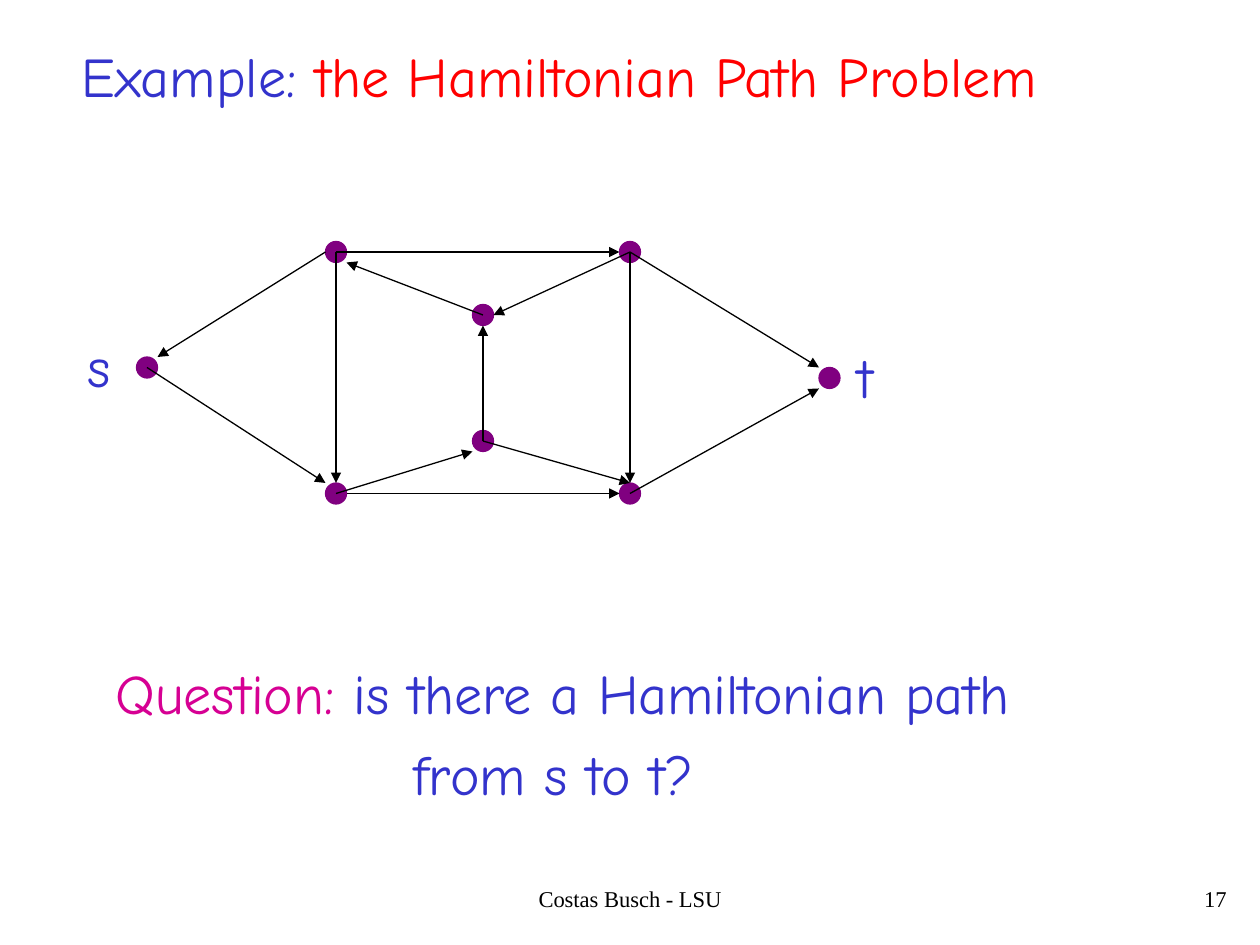
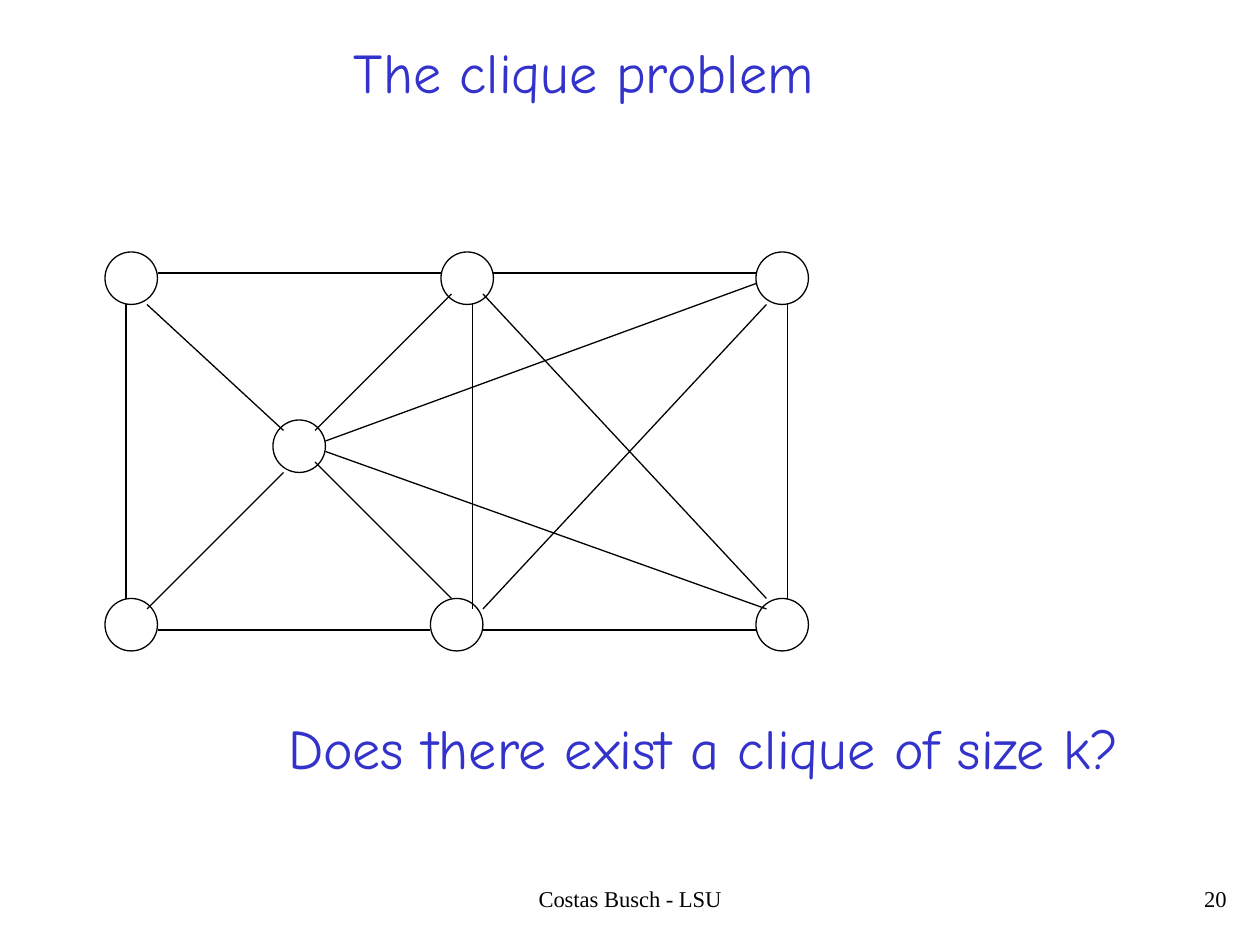
from pptx import Presentation
from pptx.dml.color import RGBColor
from pptx.enum.shapes import MSO_CONNECTOR as CONN, MSO_SHAPE as SHAPE
from pptx.enum.text import MSO_ANCHOR as ANCHOR, MSO_AUTO_SIZE as FIT, PP_ALIGN as ALIGN
from pptx.oxml.ns import qn
from pptx.util import Pt
from lxml.etree import SubElement

BLUE = RGBColor(0x33, 0x33, 0xCC)
RED = RGBColor(0xFF, 0x00, 0x00)
PINK = RGBColor(0xD6, 0x00, 0x93)
PURPLE = RGBColor(0x80, 0x00, 0x80)
BLACK = RGBColor(0x00, 0x00, 0x00)
HEAD_FONT = "Comic Neue"
FOOT_FONT = "Times New Roman"
GRID = 6
LINE = 0.75

FOOTER = "Costas Busch - LSU"

SLIDES = [
    {
        "number": "17",
        "title": ((39.5, 20, 564, 46),
                  [("Example: ", BLUE), ("the Hamiltonian Path Problem", RED)]),
        "texts": [
            ((59, 372.5, 538, 92),
             [(0, [("Question:", PINK), (" is there a Hamiltonian path", BLUE)]),
              (170, [("from s to t?", BLUE)])]),
            ((43, 186, 27.5, 46), [(0, [("s", BLUE)])]),
            ((483, 192, 23, 46), [(0, [("t", BLUE)])]),
        ],
        "diameter": 2,
        "fill": PURPLE,
        "directed": True,
        "nodes": [(13, 34), (31, 23), (31, 46), (78, 35),
                  (59, 46), (59, 23), (45, 41), (45, 29)],
        "edges": [
            ((31, 24), (15, 34)), ((14, 35), (31, 46)), ((32, 24), (32, 46)),
            ((32, 24), (59, 24)), ((33, 47), (59, 47)), ((60, 47), (78, 37)),
            ((60, 24), (78, 35)), ((46, 30), (33, 25)), ((60, 24), (47, 30)),
            ((46, 42), (46, 31)), ((32, 47), (45, 43)), ((46, 42), (60, 46)),
            ((60, 24), (60, 46)),
        ],
    },
    {
        "number": "20",
        "title": ((195, 18, 278, 46), [("The clique problem", BLUE)]),
        "texts": [
            ((157.5, 404, 491, 46), [(0, [("Does there exist a clique of size k?", BLUE)])]),
        ],
        "diameter": 5,
        "fill": None,
        "directed": False,
        "nodes": [(10, 24), (42, 24), (72, 24), (26, 40),
                  (10, 57), (41, 57), (72, 57)],
        "edges": [
            ((14, 29), (27, 41)), ((12, 29), (12, 57)), ((15, 60), (41, 60)),
            ((30, 44), (43, 57)), ((45, 29), (45, 58)), ((47, 26), (72, 26)),
            ((46, 58), (73, 29)), ((75, 29), (75, 57)), ((46, 28), (73, 57)),
            ((46, 60), (72, 60)), ((15, 26), (42, 26)), ((30, 41), (43, 28)),
            ((14, 58), (27, 45)), ((31, 43), (73, 58)), ((31, 42), (72, 27)),
        ],
    },
]


def points(*values):
    return [Pt(v) for v in values]


def add_runs(p, runs, font, size):
    for text, color in runs:
        r = p.add_run()
        r.text = text
        r.font.name = font
        r.font.size = Pt(size)
        r.font.color.rgb = color


def fill_heading(sp, paragraphs):
    tf = sp.text_frame
    tf.word_wrap = False
    tf.auto_size = FIT.NONE
    tf.vertical_anchor = ANCHOR.TOP
    for i, (indent, runs) in enumerate(paragraphs):
        p = tf.add_paragraph() if i else tf.paragraphs[0]
        p.alignment = ALIGN.LEFT
        p.space_before = Pt(8)
        if indent:
            p._p.get_or_add_pPr().set("marL", str(Pt(indent)))
        add_runs(p, runs, HEAD_FONT, 32)


def add_title(s, box, runs):
    sp = s.shapes.title
    sp.left, sp.top, sp.width, sp.height = points(*box)
    fill_heading(sp, [(0, runs)])


def add_footer(s, number):
    for left, width, text, align in ((246, 228, FOOTER, ALIGN.CENTER),
                                     (558, 150, number, ALIGN.RIGHT)):
        tf = s.shapes.add_textbox(*points(left, 504, width, 24)).text_frame
        tf.word_wrap = True
        p = tf.paragraphs[0]
        p.alignment = align
        p.line_spacing = 0.9
        add_runs(p, [(text, BLACK)], FOOT_FONT, 12.9)


def add_node(s, x, y, diameter, fill):
    box = points(x * GRID, y * GRID, diameter * GRID, diameter * GRID)
    sp = s.shapes.add_shape(SHAPE.OVAL, *box)
    sp.shadow.inherit = False
    if fill is None:
        sp.fill.background()
    else:
        sp.fill.solid()
        sp.fill.fore_color.rgb = fill
    sp.line.color.rgb = BLACK if fill is None else fill
    sp.line.width = Pt(LINE)


def add_edge(s, start, end, directed):
    ends = points(*(v * GRID for v in start + end))
    c = s.shapes.add_connector(CONN.STRAIGHT, *ends)
    c.line.color.rgb = BLACK
    c.line.width = Pt(LINE)
    if directed:
        SubElement(c.line._get_or_add_ln(), qn("a:tailEnd"),
                   type="triangle", w="med", len="med")
    SubElement(c._element.spPr, qn("a:effectLst"))


def main():
    prs = Presentation()
    prs.slide_width, prs.slide_height = points(720, 540)
    for data in SLIDES:
        s = prs.slides.add_slide(prs.slide_layouts[5])
        add_title(s, *data["title"])
        add_footer(s, data["number"])
        for x, y in data["nodes"]:
            add_node(s, x, y, data["diameter"], data["fill"])
        for start, end in data["edges"]:
            add_edge(s, start, end, data["directed"])
        for box, paragraphs in data["texts"]:
            fill_heading(s.shapes.add_textbox(*points(*box)), paragraphs)
    prs.save("out.pptx")


if __name__ == "__main__":
    main()
